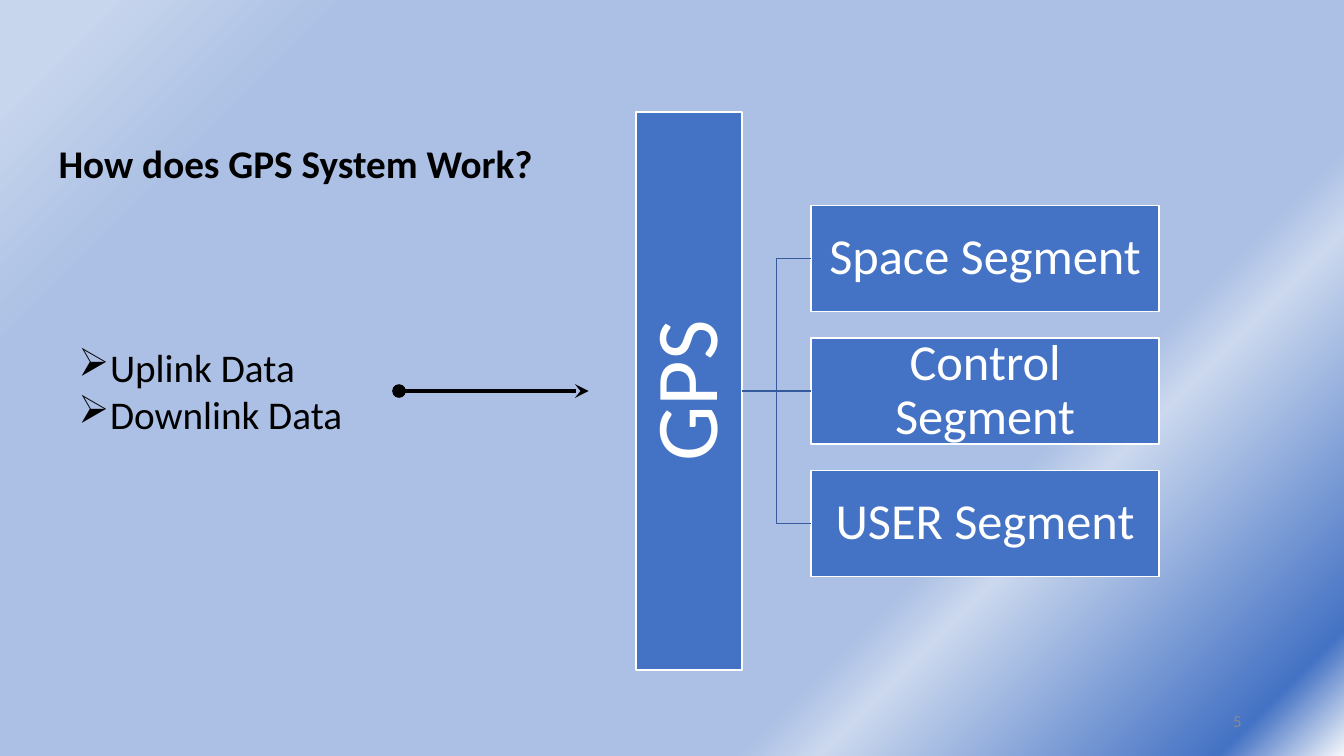
from lxml import etree
from pptx import Presentation
from pptx import util as u
from pptx.dml.color import RGBColor
from pptx.enum import shapes, text
from pptx.oxml import ns

Pt = u.Pt


def color(value):
    return RGBColor.from_string(value)


def add(parent, tag, **attrs):
    return etree.SubElement(parent, ns.qn(tag), attrs)


prs = Presentation()
prs.slide_width, prs.slide_height = Pt(960), Pt(540)
s = prs.slides.add_slide(prs.slide_layouts[5])

s.background.fill.gradient()
grad = s.background.fill._fill._gradFill
for child in list(grad):
    grad.remove(child)
stops = add(grad, "a:gsLst")
for pos, value in [(0, "F6F8FC"), (6, "4472C4"), (25, "CBD8EE"),
                   (29, "ABC0E4"), (83, "ABC0E4"), (95, "C7D5ED")]:
    add(add(stops, "a:gs", pos=str(pos * 1000)), "a:srgbClr", val=value)
add(add(grad, "a:path", path="circle"), "a:fillToRect", l="100000", t="100000")

title = s.shapes.title
title.left, title.top, title.width, title.height = Pt(34.6), Pt(95.8), Pt(357), Pt(63)
tf = title.text_frame
tf.text = "How does GPS System Work?"
tf.word_wrap = False
tf.auto_size = text.MSO_AUTO_SIZE.NONE
tf.vertical_anchor = text.MSO_ANCHOR.TOP
p = tf.paragraphs[0]
p.alignment = text.PP_ALIGN.LEFT
p.font.name, p.font.size, p.font.bold = "Calibri", Pt(28), True
p.font.color.rgb = color("000000")

side, middle, step = 75.7, 279.3, 94.6
boxes = [("GPS", 454.3, middle - 199.3, side, 398.6, 63)]
for i, name in enumerate(["Space Segment", "Control Segment", "USER Segment"]):
    boxes.append((name, 579.4, middle - side / 2 + (i - 1) * step, 248.6, side, 36))

blocks = []
for name, left, top, width, height, size in boxes:
    sp = s.shapes.add_shape(shapes.MSO_SHAPE.RECTANGLE, Pt(left), Pt(top), Pt(width), Pt(height))
    sp.shadow.inherit = False
    sp.fill.solid()
    sp.fill.fore_color.rgb = color("4472C4")
    sp.line.color.rgb = color("FFFFFF")
    sp.line.width = Pt(1)
    tf = sp.text_frame
    tf.margin_left = tf.margin_right = tf.margin_top = tf.margin_bottom = Pt(2)
    tf.word_wrap = True
    tf.vertical_anchor = text.MSO_ANCHOR.MIDDLE
    tf.text = name
    p = tf.paragraphs[0]
    p.alignment = text.PP_ALIGN.CENTER
    p.line_spacing = 0.9
    p.font.name, p.font.size = "Calibri", Pt(size)
    p.font.color.rgb = color("FFFFFF")
    blocks.append(sp)

gps, *segments = blocks
gps.text_frame._txBody.bodyPr.set("vert", "vert270")

kinds = shapes.MSO_CONNECTOR
for segment, kind in zip(segments, [kinds.ELBOW, kinds.STRAIGHT, kinds.ELBOW]):
    branch = s.shapes.add_connector(kind, 0, 0, 0, 0)
    branch.begin_connect(gps, 3)
    branch.end_connect(segment, 1)
    branch.line.color.rgb = color("365B9D")
    branch.line.width = Pt(1)
    add(branch._element.spPr, "a:effectLst")

data = s.shapes.add_textbox(Pt(49), Pt(242), Pt(205), Pt(75))
tf = data.text_frame
tf.word_wrap = False
tf.text = "Uplink Data\nDownlink Data"
for p in tf.paragraphs:
    pPr = p._p.get_or_add_pPr()
    pPr.set("marL", str(Pt(22.5)))
    pPr.set("indent", str(-Pt(22.5)))
    add(pPr, "a:buChar", char="➢")
    p.font.name, p.font.size = "Calibri", Pt(28)
    p.font.color.rgb = color("000000")

arrow = s.shapes.add_connector(kinds.STRAIGHT, Pt(285), Pt(middle), Pt(420.5), Pt(middle))
arrow.line.color.rgb = color("000000")
arrow.line.width = Pt(3.25)
ln = arrow.line._get_or_add_ln()
add(ln, "a:headEnd", type="oval")
add(ln, "a:tailEnd", type="stealth")
add(arrow._element.spPr, "a:effectLst")

number = s.shapes.add_textbox(Pt(678), Pt(500.5), Pt(216), Pt(28.8))
tf = number.text_frame
tf.word_wrap = True
tf.vertical_anchor = text.MSO_ANCHOR.MIDDLE
tf.text = "5"
p = tf.paragraphs[0]
p.alignment = text.PP_ALIGN.RIGHT
p.font.name, p.font.size = "Calibri", Pt(12)
p.font.color.rgb = color("898989")

prs.save("out.pptx")
